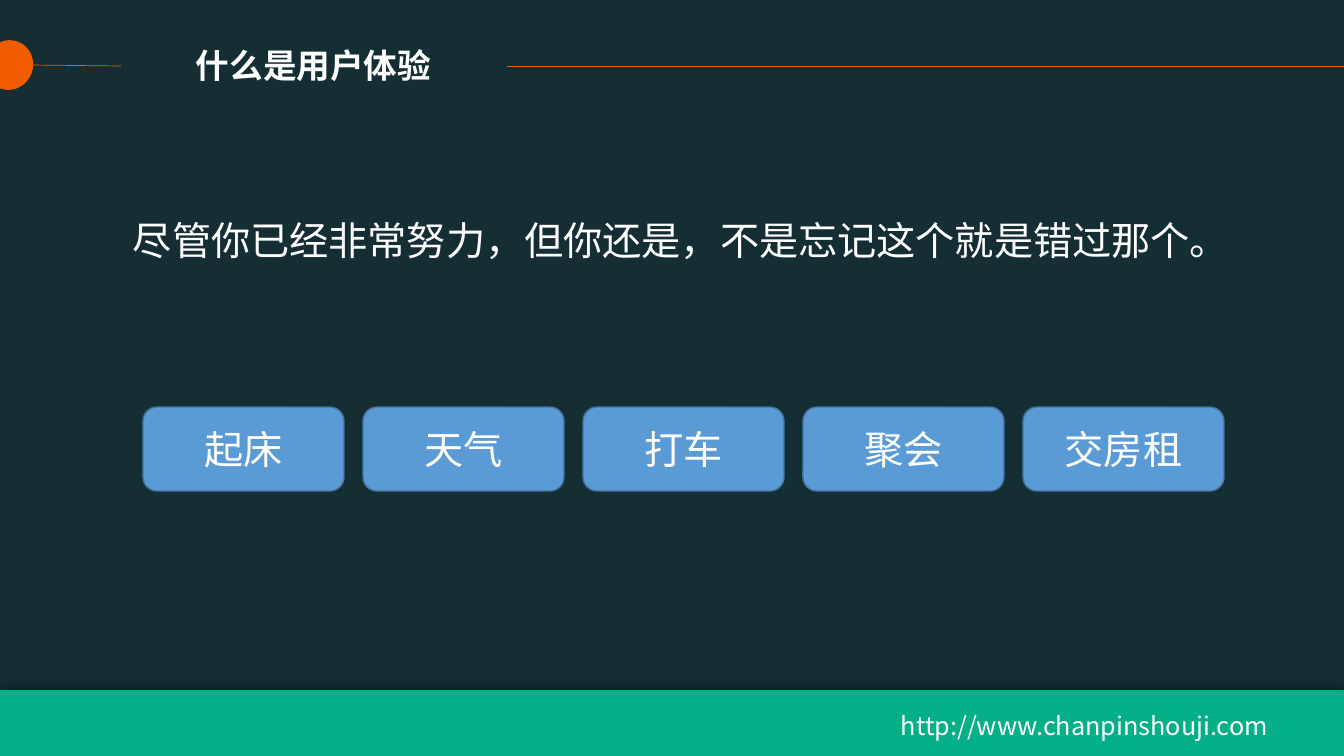
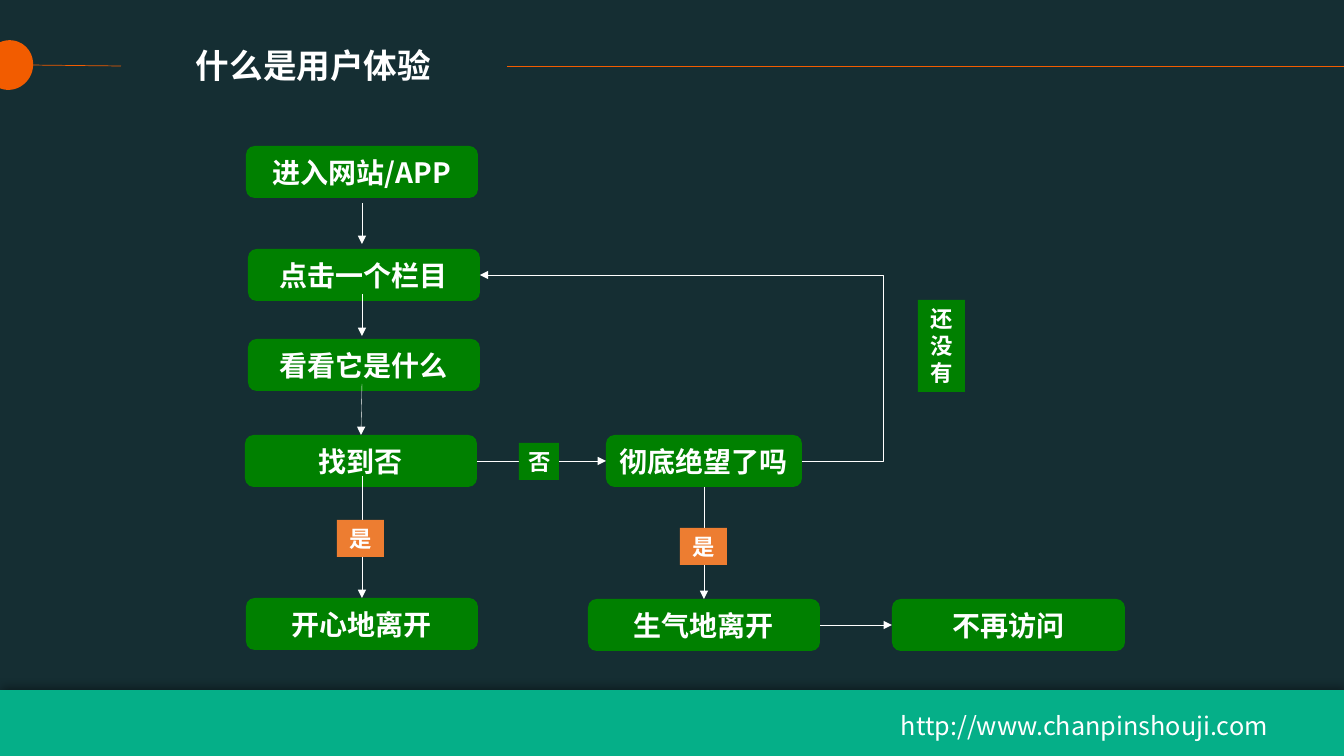
from lxml import etree
from pptx import Presentation
from pptx.dml.color import RGBColor
from pptx.enum.shapes import MSO_CONNECTOR, MSO_SHAPE
from pptx.enum.text import MSO_ANCHOR, PP_ALIGN
from pptx.oxml import parse_xml
from pptx.oxml.ns import nsdecls, qn
from pptx.util import Pt

EMU_PER_PX = 914400 / 100.8
WIDTH, HEIGHT = 1344, 756
FONT = "Noto Sans CJK SC"
NAVY, TEAL, ORANGE, WHITE = "152E33", "05AF88", "F25C00", "FFFFFF"
BLUE, BLUE_EDGE, GREEN, AMBER = "5B9BD5", "43739E", "008000", "ED7D31"

RECTANGLE, ROUNDED, CHORD = MSO_SHAPE.RECTANGLE, MSO_SHAPE.ROUNDED_RECTANGLE, MSO_SHAPE.CHORD
STRAIGHT, ELBOW = MSO_CONNECTOR.STRAIGHT, MSO_CONNECTOR.ELBOW
LEFT, CENTER = PP_ALIGN.LEFT, PP_ALIGN.CENTER
ANCHOR_TOP, ANCHOR_MIDDLE = MSO_ANCHOR.TOP, MSO_ANCHOR.MIDDLE
SIDE_TOP, SIDE_LEFT, SIDE_BOTTOM, SIDE_RIGHT = range(4)


def px(*lengths):
    """Turn pixel lengths into a list of EMU lengths."""
    return [round(length * EMU_PER_PX) for length in lengths]


def color(value):
    """Turn a hex string into a colour."""
    return RGBColor.from_string(value)


def write(shape, text, size, bold=False, align=CENTER, anchor=ANCHOR_MIDDLE):
    """Write one formatted paragraph into a shape."""
    frame = shape.text_frame
    frame.word_wrap = True
    frame.vertical_anchor = anchor
    paragraph = frame.paragraphs[0]
    paragraph.alignment = align
    run = paragraph.add_run()
    run.text = text
    font = run.font
    font.size, font.bold, font.name = Pt(size), bold, FONT
    font.color.rgb = color(WHITE)
    etree.SubElement(run._r.get_or_add_rPr(), qn("a:ea"), typeface=FONT)


def add_text(slide, box, text, size, **style):
    """Add a text box that is anchored at the top."""
    write(slide.shapes.add_textbox(*px(*box)), text, size, anchor=ANCHOR_TOP, **style)


def add_block(slide, kind, box, fill, edge=None):
    """Add a filled preset shape without a shadow."""
    shape = slide.shapes.add_shape(kind, *px(*box))
    shape.shadow.inherit = False
    shape.fill.solid()
    shape.fill.fore_color.rgb = color(fill)
    if edge:
        shape.line.color.rgb = color(edge)
        shape.line.width = Pt(1)
    else:
        shape.line.fill.background()
    return shape


def add_line(slide, start, end, stroke=WHITE, width=0.25, arrow=False, kind=STRAIGHT):
    """Add a connector, with an arrowhead at its end on request."""
    line = slide.shapes.add_connector(kind, *px(*start, *end))
    line.line.color.rgb = color(stroke)
    line.line.width = Pt(width)
    if arrow:
        etree.SubElement(line.line._get_or_add_ln(), qn("a:tailEnd"), type="triangle")
    etree.SubElement(line._element.spPr, qn("a:effectLst"))
    return line


def join(slide, source, source_side, target, target_side, kind=STRAIGHT):
    """Add an arrow between the sides of two boxes."""
    line = add_line(slide, (0, 0), (0, 0), arrow=True, kind=kind)
    line.begin_connect(source, source_side)
    line.end_connect(target, target_side)
    return line


def add_footer(slide, left, top, width, height):
    """Draw the footer band with its upward shadow and address."""
    band = add_block(slide, RECTANGLE, (left, top, width, height), TEAL)
    effects = band._element.spPr.find(qn("a:effectLst"))
    effects.append(parse_xml(
        f'<a:outerShdw {nsdecls("a")} blurRad="{Pt(6)}" dist="{Pt(3)}" dir="16200000" '
        'rotWithShape="0"><a:srgbClr val="000000"><a:alpha val="40000"/></a:srgbClr></a:outerShdw>'))
    add_text(slide, (left + 891, top + 15, 453, 40), "http://www.chanpinshouji.com", 18, align=LEFT)


def add_header(slide, left, top, width, title):
    """Draw the header ornament and the slide title."""
    dot = add_block(slide, CHORD, (left - 15, top, 48, 50), ORANGE)
    dot.rotation = 202.1
    add_line(slide, (left + width, top + 26), (left + 507, top + 26), ORANGE, 0.5)
    add_line(slide, (left + 121, top + 26), (left + 26, top + 25), ORANGE, 0.5)
    add_text(slide, (left + 123, top, 381, 50), title, 24, bold=True)


def new_slide(presentation, title):
    """Add a blank slide with the shared background, footer and header."""
    slide = presentation.slides.add_slide(presentation.slide_layouts[6])
    slide.background.fill.solid()
    slide.background.fill.fore_color.rgb = color(NAVY)
    add_footer(slide, 0, 690, WIDTH, 66)
    add_header(slide, 0, 40, WIDTH, title)
    return slide


def add_button_row(slide, left, top, width, height, labels, gap=19):
    """Share the width equally between labelled buttons."""
    button_width = (width - gap * (len(labels) - 1)) / len(labels)
    for index, label in enumerate(labels):
        box = (left + index * (button_width + gap), top, button_width, height)
        write(add_block(slide, ROUNDED, box, BLUE, BLUE_EDGE), label, 28)


def add_flowchart(slide, left, top):
    """Draw the visitor flowchart from its top left corner."""
    steps = {
        "enter": (1, 0, 232, "进入网站/APP"),
        "click": (3, 103, 232, "点击一个栏目"),
        "look": (3, 193, 232, "看看它是什么"),
        "found": (0, 289, 232, "找到否"),
        "happy": (1, 452, 232, "开心地离开"),
        "despair": (361, 289, 196, "彻底绝望了吗"),
        "angry": (343, 453, 232, "生气地离开"),
        "gone": (647, 453, 233, "不再访问"),
    }
    boxes = {}
    for name, (x, y, width, text) in steps.items():
        boxes[name] = add_block(slide, ROUNDED, (left + x, top + y, width, 52), GREEN)
        write(boxes[name], text, 20, bold=True)

    axis = left + 117
    for start, end in ((57, 98), (148, 190)):
        add_line(slide, (axis, top + start), (axis, top + end), arrow=True)
    for start, target in ((238, "found"), (330, "happy")):
        line = add_line(slide, (axis, top + start), (axis, top + start), arrow=True)
        line.end_connect(boxes[target], SIDE_TOP)

    join(slide, boxes["found"], SIDE_RIGHT, boxes["despair"], SIDE_LEFT)
    join(slide, boxes["despair"], SIDE_BOTTOM, boxes["angry"], SIDE_TOP)
    join(slide, boxes["angry"], SIDE_RIGHT, boxes["gone"], SIDE_LEFT)
    loop = join(slide, boxes["despair"], SIDE_RIGHT, boxes["click"], SIDE_RIGHT, ELBOW)
    guides = loop._element.spPr.find(qn("a:prstGeom")).get_or_add_avLst()
    etree.SubElement(guides, qn("a:gd"), name="adj1", fmla="val -25400")

    labels = (
        (92, 374, 47, 37, AMBER, "是"),
        (274, 297, 40, 37, GREEN, "否"),
        (435, 382, 47, 37, AMBER, "是"),
        (673, 154, 47, 92, GREEN, "还没有"),
    )
    for x, y, width, height, fill, text in labels:
        label = add_block(slide, RECTANGLE, (left + x, top + y, width, height), fill)
        write(label, text, 16, bold=True, anchor=ANCHOR_TOP)


def main():
    """Build both slides and save the presentation."""
    presentation = Presentation()
    presentation.slide_width, presentation.slide_height = px(WIDTH, HEIGHT)
    title = "什么是用户体验"

    slide = new_slide(presentation, title)
    add_text(slide, (123, 211, 1132, 57),
             "尽管你已经非常努力，但你还是，不是忘记这个就是错过那个。", 28, align=LEFT)
    add_button_row(slide, 143, 407, 1081, 84, ("起床", "天气", "打车", "聚会", "交房租"))

    slide = new_slide(presentation, title)
    add_flowchart(slide, 245, 146)

    presentation.save("out.pptx")


if __name__ == "__main__":
    main()
